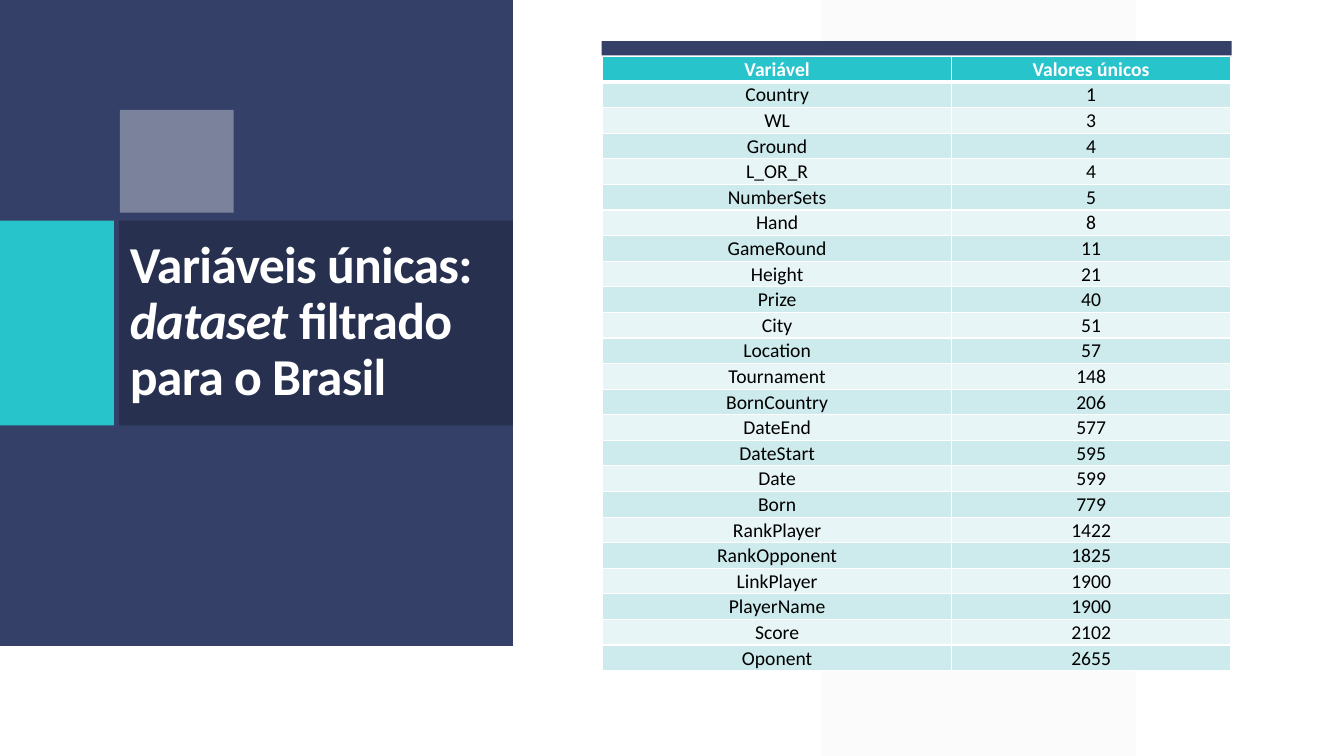
import pptx
import pptx.util
import pptx.oxml
import pptx.oxml.ns
import pptx.dml.color
import pptx.enum.shapes
import pptx.enum.text
from pptx.util import Cm

INK = {
    "navy": "344068", "dark": "27304E", "teal": "28C4CC", "white": "FFFFFF",
    "pale": "F2F2F2", "odd": "CDEAEC", "even": "E8F5F6", "black": "000000",
}
FONT = "Calibri"
KIND = pptx.enum.shapes.MSO_SHAPE
ALIGN = pptx.enum.text.PP_ALIGN
MIDDLE = pptx.enum.text.MSO_ANCHOR.MIDDLE

TITLE = [("Variáveis únicas: ", False), ("dataset", True),
         (" filtrado para o Brasil", False)]
ROWS = [
    ("Variável", "Valores únicos"), ("Country", 1), ("WL", 3), ("Ground", 4),
    ("L_OR_R", 4), ("NumberSets", 5), ("Hand", 8), ("GameRound", 11),
    ("Height", 21), ("Prize", 40), ("City", 51), ("Location", 57),
    ("Tournament", 148), ("BornCountry", 206), ("DateEnd", 577),
    ("DateStart", 595), ("Date", 599), ("Born", 779), ("RankPlayer", 1422),
    ("RankOpponent", 1825), ("LinkPlayer", 1900), ("PlayerName", 1900),
    ("Score", 2102), ("Oponent", 2655),
]


def color(name):
    return pptx.dml.color.RGBColor.from_string(INK[name])


def style(run, size, ink, bold):
    font = run.font
    font.name = FONT
    font.size = pptx.util.Pt(size)
    font.bold = bold
    font.color.rgb = color(ink)


def add_block(slide, box, ink, alpha=100, kind=KIND.RECTANGLE):
    block = slide.shapes.add_shape(kind, *map(Cm, box))
    block.shadow.inherit = False
    block.line.fill.background()
    block.fill.solid()
    block.fill.fore_color.rgb = color(ink)
    if alpha < 100:
        tone = block.element.spPr.find(".//" + pptx.oxml.ns.qn("a:srgbClr"))
        pptx.oxml.ns.qn("a:alpha")
        node = pptx.oxml.parse_xml(
            f'<a:alpha {pptx.oxml.ns.nsdecls("a")} val="{alpha * 1000}"/>')
        tone.append(node)
    return block


def set_title(slide, box, parts):
    title = slide.shapes.title
    slide.shapes.element.append(title.element)
    title.left, title.top, title.width, title.height = map(Cm, box)
    frame = title.text_frame
    frame.word_wrap = True
    frame.auto_size = pptx.enum.text.MSO_AUTO_SIZE.NONE
    frame.vertical_anchor = MIDDLE
    para = frame.paragraphs[0]
    para.alignment = ALIGN.LEFT
    para.line_spacing = 0.9
    for text, slant in parts:
        run = para.add_run()
        run.text = text
        style(run, 37, "white", True)
        run.font.italic = slant
        run.font._element.set("spc", "-50")


def set_edges(cell, base):
    props = cell._tc.get_or_add_tcPr()
    for side in "LRTB":
        width = pptx.util.Pt(base if side == "B" else 1)
        props.append(pptx.oxml.parse_xml(
            f'<a:ln{side} {pptx.oxml.ns.nsdecls("a")} w="{width}"><a:solidFill>'
            f'<a:srgbClr val="{INK["white"]}"/></a:solidFill></a:ln{side}>'))


def fill_cell(cell, text, fill, ink, head):
    set_edges(cell, 3 if head else 1)
    cell.fill.solid()
    cell.fill.fore_color.rgb = color(fill)
    cell.vertical_anchor = MIDDLE
    cell.margin_left = cell.margin_right = cell.margin_top = Cm(0.02)
    cell.margin_bottom = 0
    para = cell.text_frame.paragraphs[0]
    para.text = str(text)
    para.alignment = ALIGN.CENTER
    style(para.runs[0], 14, ink, head)


def add_grid(slide, box, widths, rows):
    frame = slide.shapes.add_table(len(rows), len(widths), *map(Cm, box))
    table = frame.table
    for col, width in zip(table.columns, widths):
        col.width = Cm(width)
    for i, row in enumerate(rows):
        head = i == 0
        fill = "teal" if head else "odd" if i % 2 else "even"
        ink = "white" if head else "black"
        for j, text in enumerate(row):
            fill_cell(table.cell(i, j), text, fill, ink, head)


def main():
    deck = pptx.Presentation()
    deck.slide_width, deck.slide_height = Cm(33.87), Cm(19.05)
    slide = deck.slides.add_slide(deck.slide_layouts[5])
    band = add_block(slide, (20.7, 0, 7.92, 19.05), "pale", 30, KIND.PARALLELOGRAM)
    band.adjustments[0] = 0
    add_block(slide, (0, 0, 12.93, 16.28), "navy")
    add_block(slide, (0, 5.56, 2.87, 5.16), "teal")
    add_block(slide, (15.16, 1.04, 15.88, 0.36), "navy")
    add_block(slide, (3, 5.56, 9.93, 5.16), "dark")
    add_block(slide, (3.02, 2.77, 2.87, 2.59), "white", 35)
    set_title(slide, (3.02, 5.23, 9.19, 5.82), TITLE)
    add_grid(slide, (15.19, 1.42, 15.83, 15.49), (8.79, 7.04), ROWS)
    deck.save("out.pptx")


if __name__ == "__main__":
    main()
